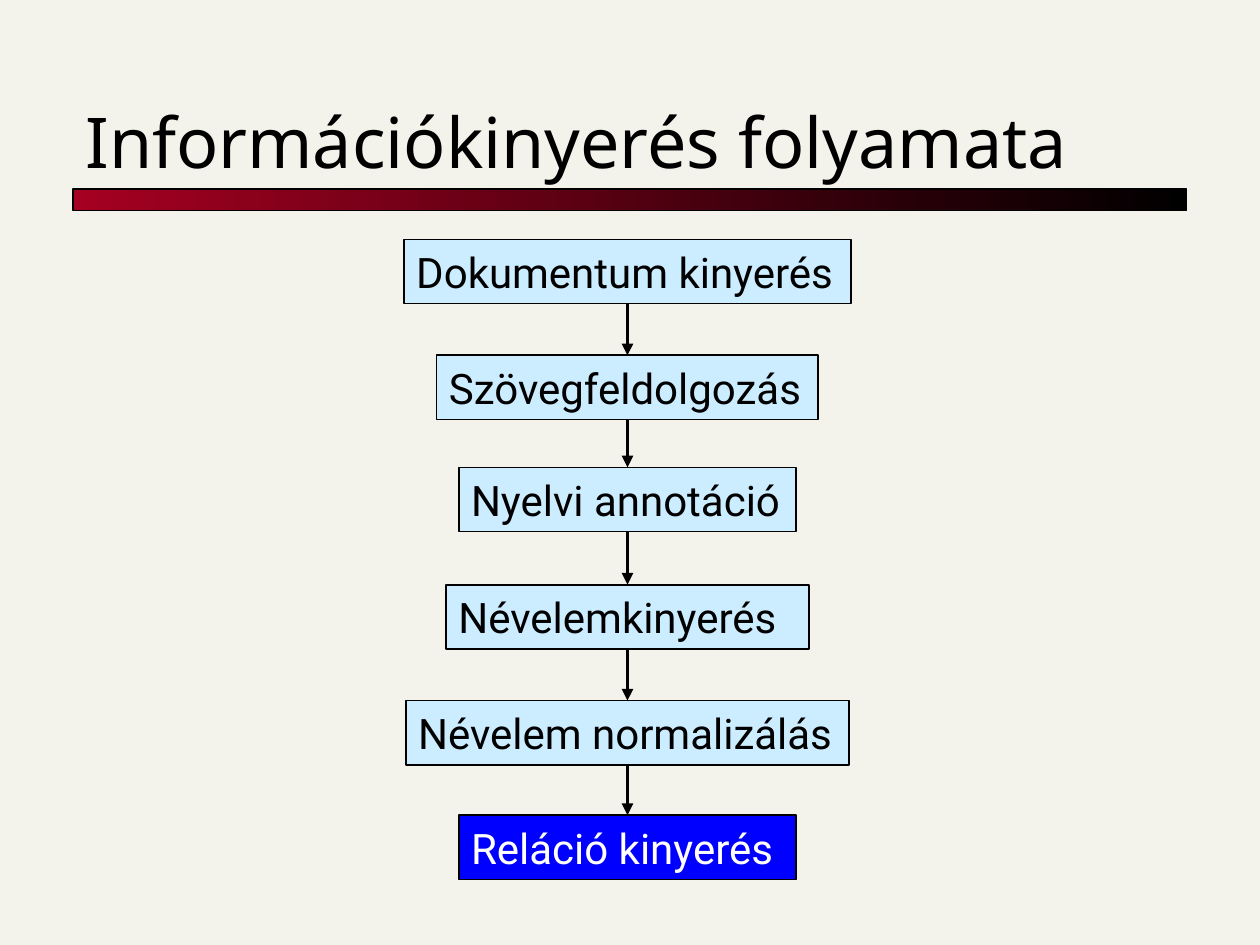
"""Build a slide showing the steps of information extraction as a flowchart."""
from lxml import etree
from pptx import Presentation
from pptx.dml.color import RGBColor
from pptx.enum import shapes, text
from pptx.oxml import ns
from pptx.util import Inches, Pt

PAPER = RGBColor(0xF4, 0xF3, 0xEB)
CRIMSON = RGBColor(0xA5, 0x00, 0x21)
BLACK = RGBColor(0, 0, 0)
WHITE = RGBColor(255, 255, 255)
SKY = RGBColor(0xCC, 0xEC, 0xFF)
BLUE = RGBColor(0, 0, 255)

TITLE = "Információkinyerés folyamata"
STEPS = [
    ("Dokumentum kinyerés", 1.9, 3.55, SKY, BLACK),
    ("Szövegfeldolgozás", 2.82, 3.03, SKY, BLACK),
    ("Nyelvi annotáció", 3.71, 2.68, SKY, BLACK),
    ("Névelemkinyerés", 4.64, 2.88, SKY, BLACK),
    ("Névelem normalizálás", 5.56, 3.52, SKY, BLACK),
    ("Reláció kinyerés", 6.47, 2.68, BLUE, WHITE),
]
CENTER = 4.98
STEP_HEIGHT = 0.51


def write(box, words, anchor, font):
    frame = box.text_frame
    layout = {"word_wrap": True, "vertical_anchor": anchor, "margin_right": 0}
    for name, value in layout.items():
        setattr(frame, name, value)
    para = frame.paragraphs[0]
    para.alignment = text.PP_ALIGN.LEFT
    span = para.add_run()
    span.text = words
    color = font.pop("color")
    for name, value in font.items():
        setattr(span.font, name, value)
    span.font.color.rgb = color


def add_box(page, left, top, width, height, line_width):
    box = page.shapes.add_shape(
        shapes.MSO_SHAPE.RECTANGLE, *map(Inches, (left, top, width, height)))
    box.shadow.inherit = False
    box.line.color.rgb = BLACK
    box.line.width = Pt(line_width)
    return box


def add_title(page):
    bar = add_box(page, 0.58, 1.5, 8.84, 0.17, 0.75)
    bar.fill.gradient()
    bar.fill.gradient_angle = 0
    for stop, color, position in zip(bar.fill.gradient_stops, (CRIMSON, BLACK), (0, 1)):
        stop.color.rgb = color
        stop.position = position
    box = page.shapes.add_textbox(*map(Inches, (0.58, 0.42, 8.83, 1.08)))
    write(box, TITLE, text.MSO_ANCHOR.BOTTOM,
          {"name": "Noto Sans", "size": Pt(40), "color": BLACK})


def add_step(page, words, top, width, fill, ink):
    box = add_box(page, CENTER - width / 2, top, width, STEP_HEIGHT, 1)
    box.fill.solid()
    box.fill.fore_color.rgb = fill
    write(box, words, text.MSO_ANCHOR.MIDDLE,
          {"name": "Roboto", "size": Pt(24), "color": ink})


def add_arrow(page, start, end):
    arrow = page.shapes.add_connector(
        shapes.MSO_CONNECTOR.STRAIGHT, *map(Inches, (CENTER, start, CENTER, end)))
    arrow.line.color.rgb = BLACK
    arrow.line.width = Pt(2.25)
    etree.SubElement(arrow.line._get_or_add_ln(), ns.qn("a:tailEnd"), type="triangle")
    etree.SubElement(arrow._element.spPr, ns.qn("a:effectLst"))


def main():
    deck = Presentation()
    deck.slide_width, deck.slide_height = Inches(10), Inches(7.5)
    page = deck.slides.add_slide(deck.slide_layouts[6])
    page.background.fill.solid()
    page.background.fill.fore_color.rgb = PAPER
    add_title(page)
    for step in STEPS:
        add_step(page, *step)
    tops = [step[1] for step in STEPS]
    for top, following in zip(tops, tops[1:]):
        add_arrow(page, top + STEP_HEIGHT, following)
    deck.save("out.pptx")


if __name__ == "__main__":
    main()
